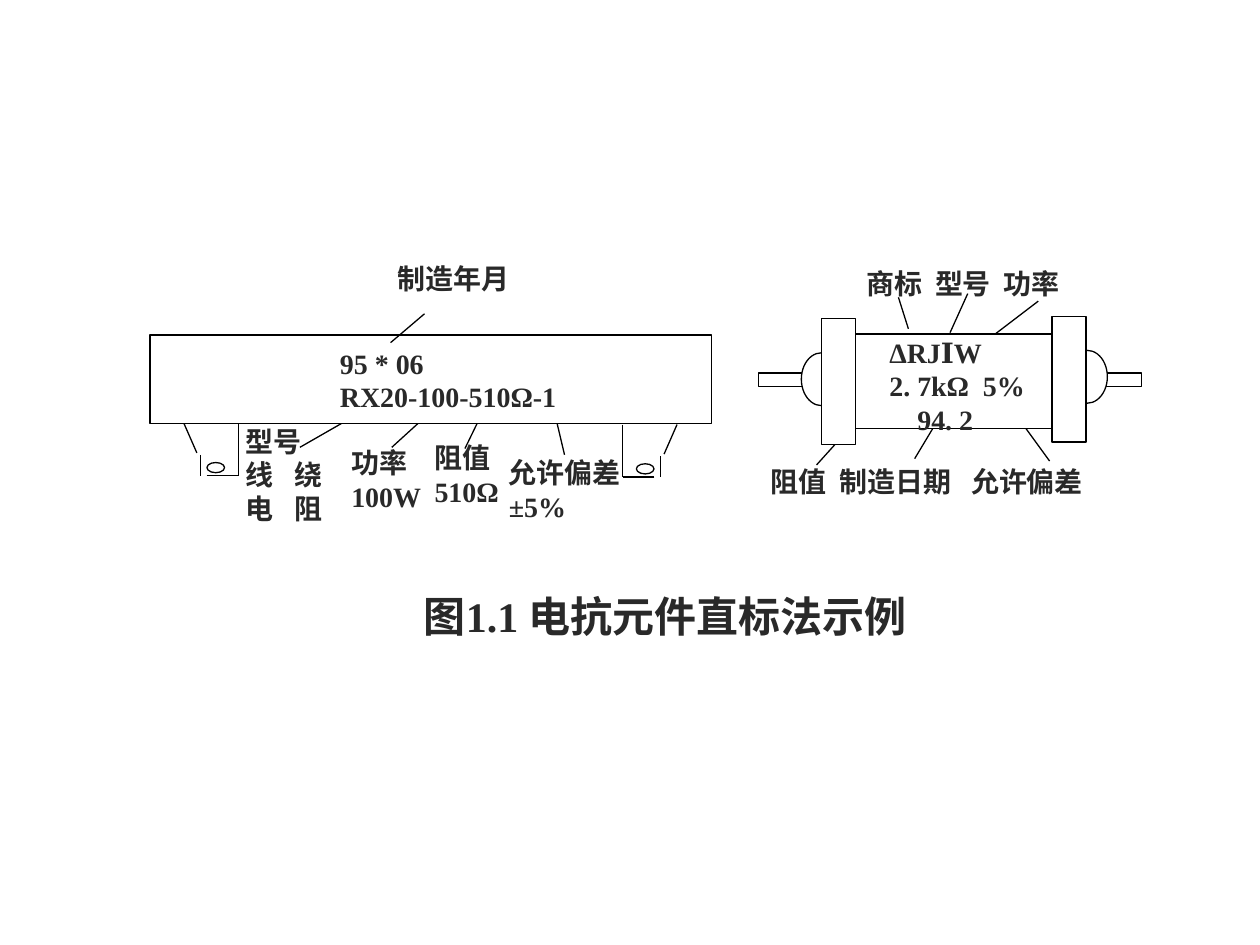
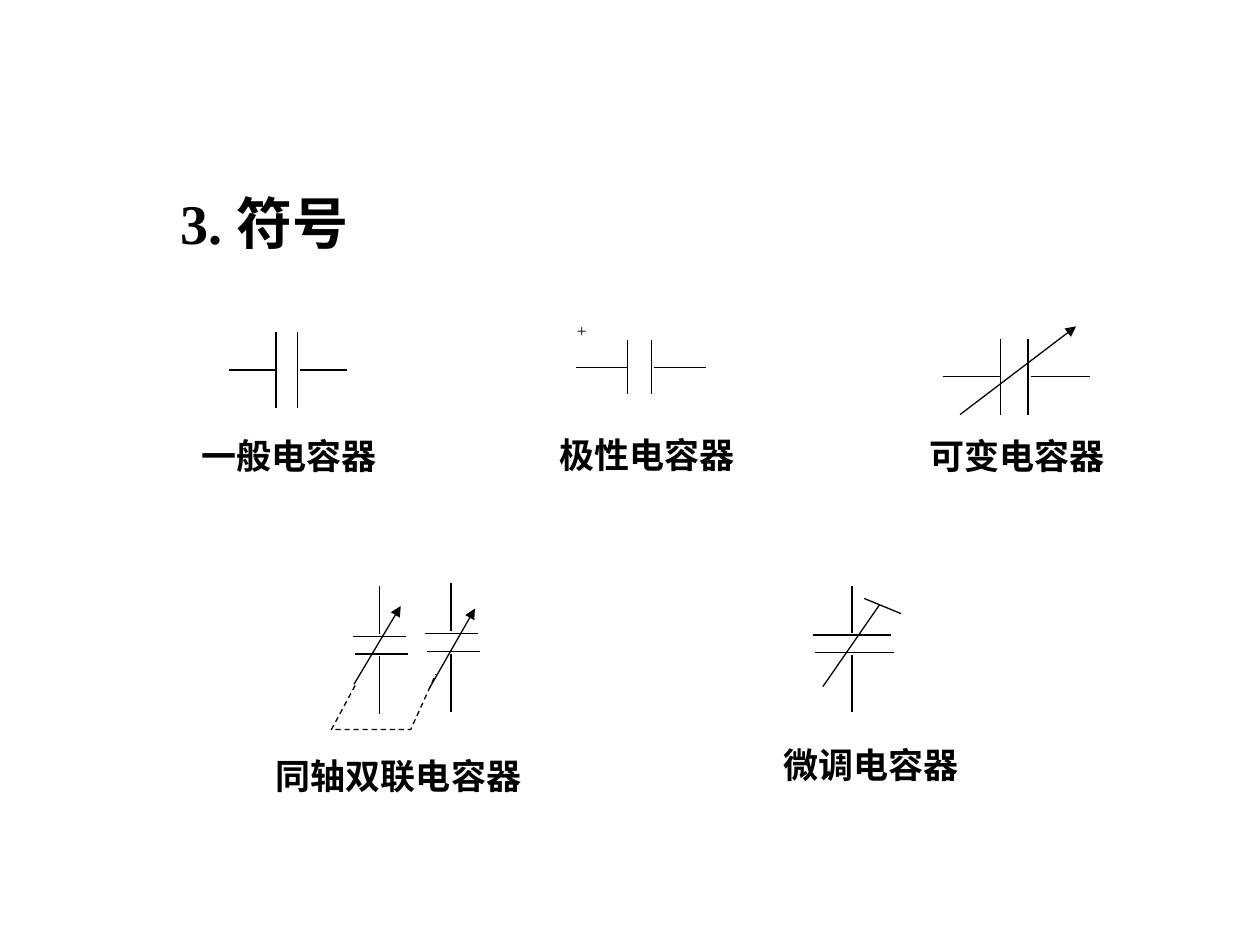
"""Builds two slides: resistor direct marking and capacitor symbols."""
from lxml import etree
from pptx import Presentation
from pptx.dml.color import RGBColor
from pptx.enum.dml import MSO_LINE
from pptx.enum.shapes import MSO_CONNECTOR, MSO_SHAPE
from pptx.enum.text import PP_ALIGN
from pptx.oxml.ns import qn
from pptx.util import Pt

BLACK, WHITE, CHARCOAL = "000000", "FFFFFF", "292929"
LABEL = {"size": 16, "bold": True, "color": CHARCOAL}
CAPTION = {"size": 24, "bold": True, "color": CHARCOAL}
HEADING = {"size": 32, "bold": True, "color": BLACK}
SYMBOL_NAME = {"size": 20, "bold": True, "color": BLACK}
POLARITY = {"size": 10, "bold": False, "color": BLACK}
RECTANGLE, ELLIPSE = MSO_SHAPE.RECTANGLE, MSO_SHAPE.OVAL

LEADERS = [
    (201.6, 238.3, 171.4, 255.6), (240.5, 240.5, 223.9, 255.6),
    (317.5, 238.3, 322.6, 259.9), (277.2, 232.6, 265.7, 256.3),
    (499.7, 229, 466.6, 265.7), (533.5, 244.1, 522.7, 262.1),
    (571, 223.9, 599.8, 263.5), (519.1, 187.9, 513.4, 169.9),
    (542.9, 190.1, 553, 167.8), (568.8, 190.8, 593.3, 172.1),
]
DATE_LEADER = (242.6, 179.3, 223.2, 195.8)
WIREWOUND_BODY = (85.7, 191.5, 321.1, 50.4)
FEET = [(105.1, 241.9, 1), (386.9, 242.6, -1)]
FOOT_LINES = [(0, 0, 7.4, 16.9), (9.6, 18, 9.6, 29.9),
              (31, 0, 31, 29.9), (13, 29.9, 31, 29.9)]
FOOT_HOLE = (18.2, 25.3, 10.1, 5.8)
FILM_RESISTOR = [
    (RECTANGLE, (433.4, 213.1, 218.9, 7.9)),
    (RECTANGLE, (488.2, 190.8, 113.8, 54)),
    (ELLIPSE, (457.9, 201.6, 23, 30.2)),
    (ELLIPSE, (609.8, 200.2, 23, 30.2)),
    (RECTANGLE, (469.4, 182.2, 19.4, 72)),
    (RECTANGLE, (601.2, 180.7, 19.4, 72)),
]
MARKINGS = [
    ((241.2, 248.4, 59, 48.2), ["阻值", "510Ω"], []),
    ((220.3, 146.2, 82.1, 31), ["制造年月"], []),
    ((133.2, 239, 59.8, 74.9), ["型号", "线\t绕", "电\t阻"], [28]),
    ((193.7, 251.3, 62.6, 43.2), ["功率", "100W"], []),
    ((283.7, 257, 80.6, 47.5), ["允许偏差", "±5%"], []),
    ((433.4, 262.1, 207.4, 31), ["阻值\t制造日期\t允许偏差"], [39.5, 114.5]),
    ((187.2, 194.4, 151.2, 46.1), ["95 * 06", "RX20-100-510Ω-1"], []),
    ((501.1, 187.9, 97.2, 56.2),
     ["ΔRJⅠW", "2. 7kΩ\t5%", "\t94. 2"], [16, 53.5]),
    ((488.2, 149, 128.9, 25.2), ["商标\t型号\t功率"], [39, 78]),
]
CAPTION_TEXT = ((215.3, 334.1, 329.8, 31), ["图1.1 电抗元件直标法示例"])

HEADING_TEXT = ((95.8, 104.4, 131.8, 46.1), ["3. 符号"])
POLARITY_TEXT = ((322.6, 179.3, 38.2, 41), ["+"])
SYMBOL_NAMES = [
    ((108, 244.8, 129.6, 28.1), "一般电容器"),
    ((312.5, 244.1, 118.8, 33.1), "极性电容器"),
    ((524.2, 244.8, 123.8, 35.3), "可变电容器"),
    ((150.5, 427.7, 174.2, 35.3), "同轴双联电容器"),
    ((440.6, 421.2, 118.8, 35.3), "微调电容器"),
]
LYING = {"gaps": (0, 1.8), "skew": 0, "upright": False}
UPRIGHT = {"gaps": (1.4, 1.4), "skew": 1.5, "upright": True}
CAPACITORS = [
    ((157.7, 169.9), (131, 198), 211.4, 21.6, LYING),
    ((358.6, 372.2), (329, 403.2), 209.9, 15.5, LYING),
    ((571.7, 587.5), (538.6, 622.8), 215.3, 21.6, LYING),
    ((362.9, 373), (334.8, 406.8), 486.9, 22.5, UPRIGHT),
    ((363.6, 373.7), (334.8, 408.2), 216.7, 15.1, UPRIGHT),
    ((362.2, 372.2), (333.4, 406.8), 257.8, 15.1, UPRIGHT),
]
ADJUSTING_ARROWS = [(548.6, 236.9, 614.9, 186.5), (202.3, 391, 229, 346.3),
                    (245.5, 393.1, 271.4, 347.8)]
TRIMMER_LINES = [(470.2, 392.4, 502.6, 345.6), (493.9, 342, 514.8, 350.6)]
GANG_LINK = [(203, 391.7), (189.4, 416.9), (234.7, 416.9), (249.1, 385.2)]


def color(value):
    return RGBColor.from_string(value)


def style_line(line):
    line.color.rgb = color(BLACK)
    line.width = Pt(0.75)


def add_line(page, ends, arrow=False):
    connector = page.shapes.add_connector(
        MSO_CONNECTOR.STRAIGHT, *(Pt(value) for value in ends))
    style_line(connector.line)
    properties = connector._element.spPr
    if arrow:
        tail = etree.SubElement(properties.find(qn("a:ln")), qn("a:tailEnd"))
        tail.set("type", "triangle")
    etree.SubElement(properties, qn("a:effectLst"))


def add_part(page, kind, frame):
    part = page.shapes.add_shape(kind, *(Pt(value) for value in frame))
    part.shadow.inherit = False
    part.fill.solid()
    part.fill.fore_color.rgb = color(WHITE)
    style_line(part.line)


def add_text(page, frame, lines, style, tabs=(), align=PP_ALIGN.LEFT):
    box = page.shapes.add_textbox(*(Pt(value) for value in frame))
    box.text_frame.word_wrap = True
    box.text_frame.text = "\n".join(lines)
    for para in box.text_frame.paragraphs:
        para.alignment = align
        if tabs:
            stops = etree.SubElement(para._p.get_or_add_pPr(), qn("a:tabLst"))
            for position in tabs:
                etree.SubElement(stops, qn("a:tab"),
                                 pos=str(Pt(position)), algn="l")
        for span in para.runs:
            formats = {"name": "Times New Roman", "size": Pt(style["size"]),
                       "bold": style["bold"]}
            for name, value in formats.items():
                setattr(span.font, name, value)
            span.font.color.rgb = color(style["color"])


def add_foot(page, left, top, direction):
    for x1, y1, x2, y2 in FOOT_LINES:
        add_line(page, (left + direction * x1, top + y1,
                        left + direction * x2, top + y2))
    center, middle, width, height = FOOT_HOLE
    add_part(page, ELLIPSE, (left + direction * center - width / 2,
                             top + middle - height / 2, width, height))


def add_capacitor(page, plates, leads, middle, half, layout):
    first, second = plates
    before, after = layout["gaps"]
    skew = layout["skew"]
    segments = [
        ((first, middle - half), (first, middle + half)),
        ((second, middle - half + skew), (second, middle + half + skew)),
        ((leads[0], middle), (first - before, middle)),
        ((second + after, middle), (leads[1], middle)),
    ]
    step = -1 if layout["upright"] else 1
    for start, end in segments:
        add_line(page, start[::step] + end[::step])


def add_gang_link(page):
    points = [(Pt(x), Pt(y)) for x, y in GANG_LINK]
    builder = page.shapes.build_freeform(*points[0])
    builder.add_line_segments(points[1:], close=False)
    link = builder.convert_to_shape()
    link.shadow.inherit = False
    link.fill.background()
    style_line(link.line)
    link.line.dash_style = MSO_LINE.DASH


def build_resistors(page):
    for ends in LEADERS:
        add_line(page, ends)
    add_part(page, RECTANGLE, WIREWOUND_BODY)
    for foot in FEET:
        add_foot(page, *foot)
    for kind, frame in FILM_RESISTOR:
        add_part(page, kind, frame)
    for frame, lines, tabs in MARKINGS:
        add_text(page, frame, lines, LABEL, tabs)
    add_text(page, *CAPTION_TEXT, CAPTION, align=PP_ALIGN.CENTER)
    add_line(page, DATE_LEADER)


def build_capacitors(page):
    add_text(page, *HEADING_TEXT, HEADING)
    for capacitor in CAPACITORS:
        add_capacitor(page, *capacitor)
    for ends in ADJUSTING_ARROWS:
        add_line(page, ends, arrow=True)
    for ends in TRIMMER_LINES:
        add_line(page, ends)
    add_gang_link(page)
    add_text(page, *POLARITY_TEXT, POLARITY)
    for frame, name in SYMBOL_NAMES:
        add_text(page, frame, [name], SYMBOL_NAME)


def main():
    deck = Presentation()
    deck.slide_width, deck.slide_height = Pt(720), Pt(540)
    for build in (build_resistors, build_capacitors):
        build(deck.slides.add_slide(deck.slide_layouts[6]))
    deck.save("out.pptx")


if __name__ == "__main__":
    main()
